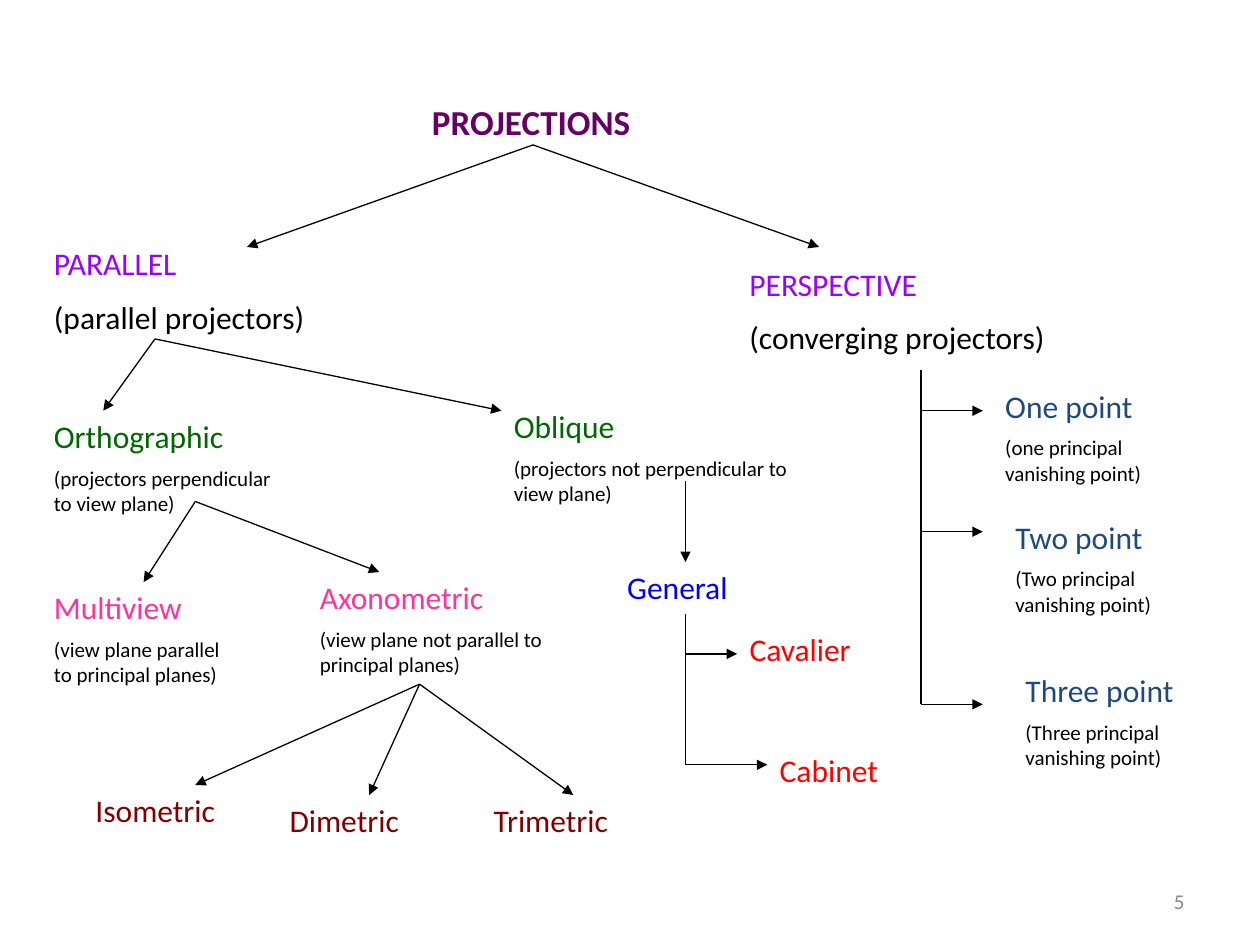
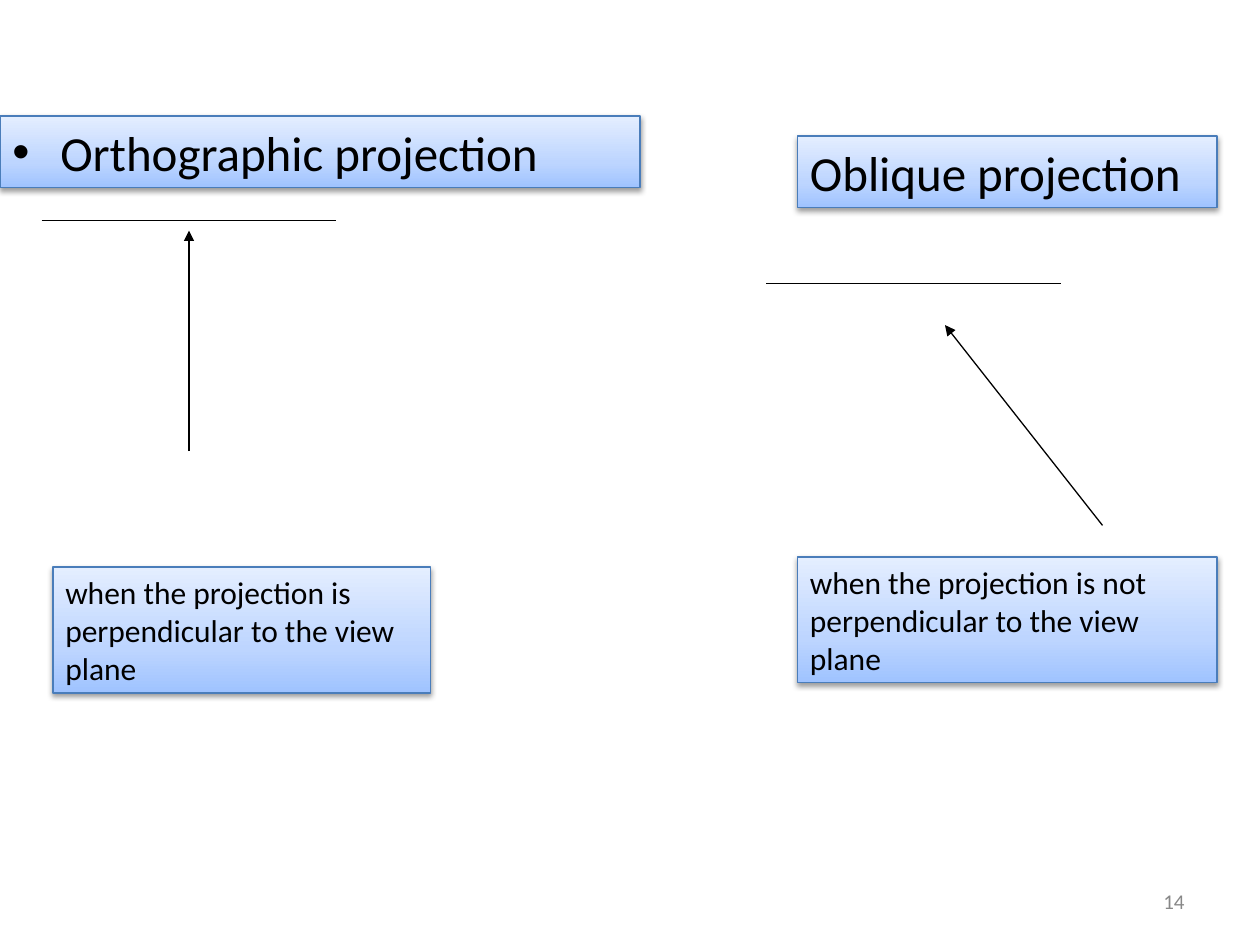
from dataclasses import dataclass

from lxml.etree import SubElement
from pptx import Presentation
from pptx.dml.color import RGBColor
from pptx.enum.shapes import MSO_CONNECTOR, MSO_SHAPE
from pptx.enum.text import MSO_ANCHOR, PP_ALIGN
from pptx.oxml import parse_xml
from pptx.oxml.ns import nsdecls, qn
from pptx.slide import Slide
from pptx.text.text import TextFrame
from pptx.util import Inches, Pt

FONT = "Calibri"
BLACK = RGBColor(0x00, 0x00, 0x00)
GREY = RGBColor(0x88, 0x88, 0x88)
PLUM = RGBColor(0x66, 0x00, 0x66)
VIOLET = RGBColor(0x99, 0x00, 0xFF)
NAVY = RGBColor(0x1F, 0x49, 0x7D)
GREEN = RGBColor(0x00, 0x66, 0x00)
BLUE = RGBColor(0x00, 0x00, 0xFF)
RED = RGBColor(0xFF, 0x00, 0x00)
PINK = RGBColor(0xFF, 0x33, 0x99)
MAROON = RGBColor(0x80, 0x00, 0x00)
PANEL_EDGE = RGBColor(0x4A, 0x7D, 0xBA)
PANEL_STOPS = (
    (0, RGBColor(0x9F, 0xC3, 0xFF)),
    (35, RGBColor(0xBD, 0xD5, 0xFF)),
    (100, RGBColor(0xE4, 0xEE, 0xFF)),
)

Point = tuple[float, float]
Box = tuple[float, float, float, float]


@dataclass(frozen=True)
class Node:
    """A term in the projection tree, with an optional explanation below it."""

    term: str
    color: RGBColor
    box: Box
    note: str = ""
    note_size: float = 12
    note_gap: float = 6
    size: float = 18
    bold: bool = False


@dataclass(frozen=True)
class Fan:
    """Arrows that spread from one point."""

    origin: Point
    tips: tuple[Point, ...]


@dataclass(frozen=True)
class Trunk:
    """A vertical line with horizontal arrows, given as (y, tip x)."""

    x: float
    top: float
    bottom: float
    branches: tuple[Point, ...]


@dataclass(frozen=True)
class Panel:
    text: str
    box: Box
    size: float
    bulleted: bool = False


@dataclass(frozen=True)
class Projector:
    """A view plane, as a horizontal line, and the arrow that meets it."""

    plane_left: float
    plane_y: float
    start: Point
    tip: Point


PLANE_WIDTH = 2.34

NODES = (
    Node("PROJECTIONS", PLUM, (3.33, 0.75, 2.19, 0.42), size=20, bold=True),
    Node("PARALLEL", VIOLET, (0.33, 1.89, 2.35, 0.82), "(parallel projectors)", 18, 9),
    Node("PERSPECTIVE", VIOLET, (5.85, 2.05, 2.76, 0.82), "(converging projectors)", 18, 9),
    Node("One point", NAVY, (7.88, 3.02, 1.46, 0.87), "(one principal vanishing point)"),
    Node("Two point", NAVY, (7.96, 4.06, 1.46, 0.87), "(Two principal vanishing point)"),
    Node("Three point", NAVY, (8.04, 5.28, 1.46, 0.87), "(Three principal vanishing point)"),
    Node("Orthographic", GREEN, (0.33, 3.26, 2.03, 0.87),
         "(projectors perpendicular to view plane)"),
    Node("Oblique", GREEN, (3.98, 3.18, 2.68, 0.87),
         "(projectors not perpendicular to view plane)"),
    Node("General", BLUE, (4.88, 4.46, 1.3, 0.39)),
    Node("Cavalier", RED, (5.85, 4.95, 1.22, 0.39)),
    Node("Cabinet", RED, (6.09, 5.91, 1.14, 0.39)),
    Node("Multiview", PINK, (0.33, 4.62, 1.62, 0.87),
         "(view plane parallel to principal planes)"),
    Node("Axonometric", PINK, (2.44, 4.54, 2.03, 0.87),
         "(view plane not parallel to principal planes)"),
    Node("Isometric", MAROON, (0.66, 6.23, 1.3, 0.39)),
    Node("Dimetric", MAROON, (2.2, 6.31, 1.3, 0.39)),
    Node("Trimetric", MAROON, (3.82, 6.31, 1.3, 0.39)),
)
FANS = (
    Fan((4.23, 1.15), ((1.96, 1.96), (6.5, 1.96))),
    Fan((1.23, 2.69), ((0.82, 3.26), (3.98, 3.26))),
    Fan((1.55, 3.98), ((1.14, 4.62), (3.01, 4.54))),
    Fan((3.33, 5.43), ((1.55, 6.23), (2.93, 6.31), (4.55, 6.31))),
    Fan((5.44, 3.82), ((5.44, 4.46),)),
)
TRUNKS = (
    Trunk(7.31, 2.94, 5.59, ((3.26, 7.8), (4.22, 7.8), (5.59, 7.8))),
    Trunk(5.44, 4.87, 6.07, ((5.19, 5.85), (6.07, 6.09))),
)
PROJECTORS = (
    Projector(0.33, 1.75, (1.5, 3.58), (1.5, 1.83)),
    Projector(6.08, 2.25, (8.75, 4.17), (7.5, 2.58)),
)
PANELS = (
    Panel("when the projection is perpendicular to the view plane", (0.42, 4.5, 3, 1), 18),
    Panel("when the projection is not perpendicular to the view plane",
          (6.33, 4.42, 3.33, 1), 18),
    Panel("Orthographic projection", (0, 0.92, 5.08, 0.57), 28, bulleted=True),
    Panel("Oblique projection", (6.33, 1.08, 3.33, 0.57), 28),
)


def write(frame: TextFrame, text: str, size: float, color: RGBColor = BLACK,
          gap: float = 0, align: PP_ALIGN = PP_ALIGN.LEFT, bold: bool = False,
          bulleted: bool = False) -> None:
    """Fill the first paragraph, or add one when the frame already has text."""
    paragraph = frame.add_paragraph() if frame.text else frame.paragraphs[0]
    paragraph.alignment = align
    if gap:
        paragraph.space_before = Pt(gap)
    if bulleted:
        properties = paragraph._p.get_or_add_pPr()
        properties.set("marL", str(Inches(0.38)))
        properties.set("indent", str(-Inches(0.38)))
        SubElement(properties, qn("a:buFont"), typeface="Arial")
        SubElement(properties, qn("a:buChar"), char="•")
    run = paragraph.add_run()
    run.text = text
    for attribute, value in {"name": FONT, "size": Pt(size), "bold": bold}.items():
        setattr(run.font, attribute, value)
    run.font.color.rgb = color


def add_text_frame(slide: Slide, box: Box) -> TextFrame:
    frame = slide.shapes.add_textbox(*map(Inches, box)).text_frame
    frame.word_wrap = True
    return frame


def add_line(slide: Slide, start: Point, end: Point, arrow: bool = False) -> None:
    line = slide.shapes.add_connector(MSO_CONNECTOR.STRAIGHT, *map(Inches, start + end))
    line.line.color.rgb = BLACK
    line.line.width = Pt(0.75)
    if arrow:
        SubElement(line.line._get_or_add_ln(), qn("a:tailEnd"), type="triangle")
    SubElement(line._element.spPr, qn("a:effectLst"))


def add_node(slide: Slide, node: Node) -> None:
    frame = add_text_frame(slide, node.box)
    write(frame, node.term, node.size, node.color, bold=node.bold)
    if node.note:
        write(frame, node.note, node.note_size, gap=node.note_gap)


def add_trunk(slide: Slide, trunk: Trunk) -> None:
    add_line(slide, (trunk.x, trunk.top), (trunk.x, trunk.bottom))
    for y, tip_x in trunk.branches:
        add_line(slide, (trunk.x, y), (tip_x, y), arrow=True)


def add_panel(slide: Slide, panel: Panel) -> None:
    """Draw a text panel with a vertical gradient and a soft shadow below."""
    shape = slide.shapes.add_shape(MSO_SHAPE.RECTANGLE, *map(Inches, panel.box))
    stops = "".join(
        f'<a:gs pos="{percent * 1000}"><a:srgbClr val="{color}"/></a:gs>'
        for percent, color in PANEL_STOPS
    )
    properties = shape._element.spPr
    properties.append(parse_xml(
        f'<a:gradFill {nsdecls("a")} rotWithShape="1"><a:gsLst>{stops}</a:gsLst>'
        '<a:lin ang="16200000" scaled="0"/></a:gradFill>'
    ))
    shape.line.color.rgb = PANEL_EDGE
    shape.line.width = Pt(0.75)
    properties.append(parse_xml(
        f'<a:effectLst {nsdecls("a")}><a:outerShdw blurRad="{Pt(3.1)}" dist="{Pt(1.6)}" '
        f'dir="5400000" rotWithShape="0"><a:srgbClr val="{BLACK}"><a:alpha val="38000"/>'
        '</a:srgbClr></a:outerShdw></a:effectLst>'
    ))
    frame = shape.text_frame
    frame.word_wrap = True
    frame.vertical_anchor = MSO_ANCHOR.TOP
    write(frame, panel.text, panel.size, bulleted=panel.bulleted)


def add_page_number(slide: Slide, number: int) -> None:
    frame = add_text_frame(slide, (7.17, 6.95, 2.33, 0.4))
    frame.vertical_anchor = MSO_ANCHOR.MIDDLE
    write(frame, str(number), 12, GREY, align=PP_ALIGN.RIGHT)


def build_projection_tree(slide: Slide) -> None:
    for node in NODES:
        add_node(slide, node)
    for fan in FANS:
        for tip in fan.tips:
            add_line(slide, fan.origin, tip, arrow=True)
    for trunk in TRUNKS:
        add_trunk(slide, trunk)
    add_page_number(slide, 5)


def build_comparison(slide: Slide) -> None:
    for projector in PROJECTORS:
        left, y = projector.plane_left, projector.plane_y
        add_line(slide, (left, y), (left + PLANE_WIDTH, y))
        add_line(slide, projector.start, projector.tip, arrow=True)
    for panel in PANELS:
        add_panel(slide, panel)
    add_page_number(slide, 14)


def main() -> None:
    presentation = Presentation()
    presentation.slide_width = Inches(10)
    presentation.slide_height = Inches(7.5)
    blank = presentation.slide_layouts[6]
    for build in (build_projection_tree, build_comparison):
        build(presentation.slides.add_slide(blank))
    presentation.save("out.pptx")


if __name__ == "__main__":
    main()
